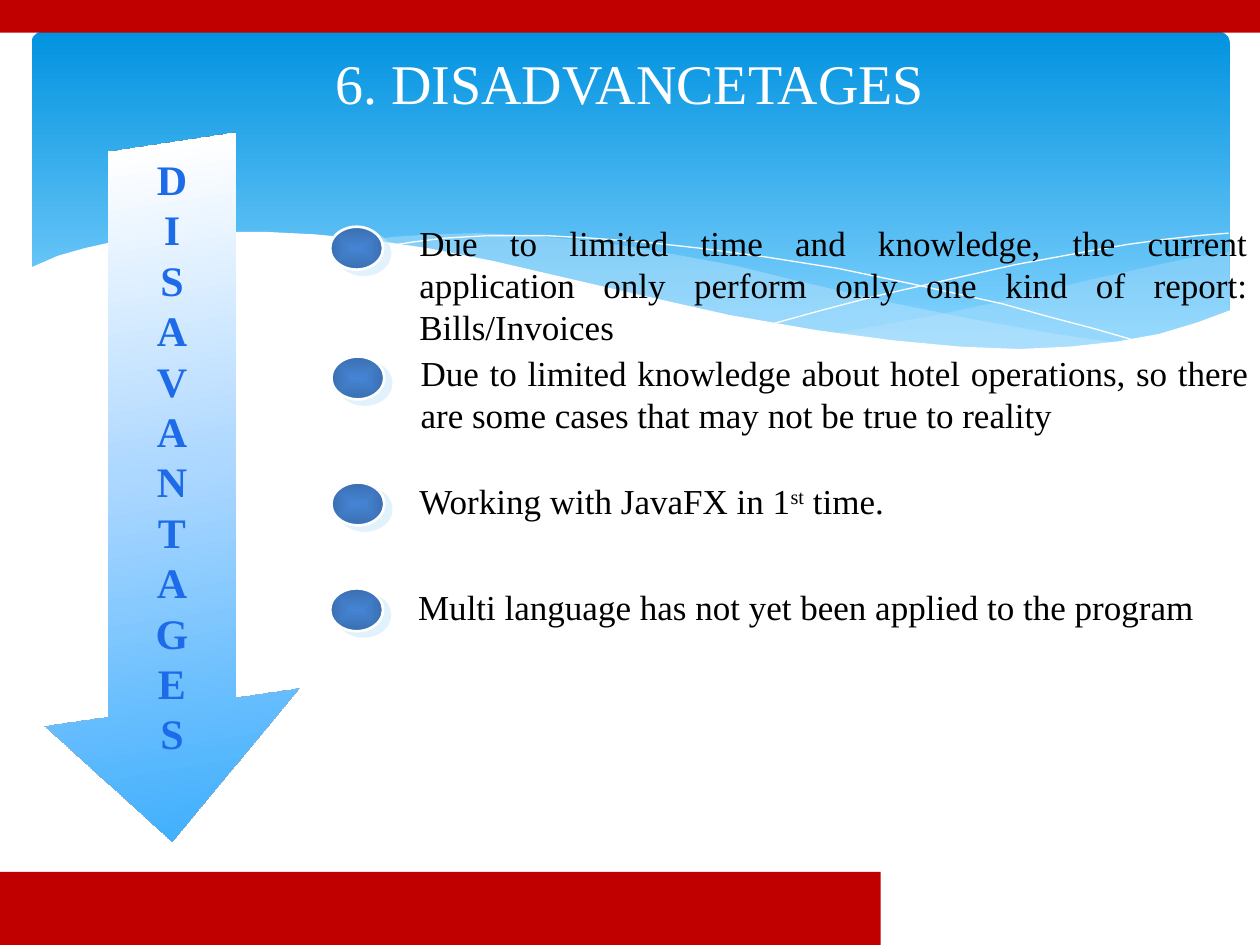
import lxml.etree
import pptx
import pptx.dml.color
import pptx.enum.shapes
import pptx.enum.text
import pptx.oxml
import pptx.oxml.ns
import pptx.util

COLORS = {
    "red": "C00000", "white": "FFFFFF", "black": "000000",
    "sky_top": "0293E0", "sky_low": "83D3FE", "mist": "C6E7FC",
    "arrow_mid": "ACD7FF", "arrow_low": "42B0FD", "arrow_edge": "31B6FD",
    "letter": "1D6BE8", "ball": "4584D3", "ball_rim": "3A6FB1",
}
RGB = {name: pptx.dml.color.RGBColor.from_string(code) for name, code in COLORS.items()}
SHAPE = pptx.enum.shapes.MSO_SHAPE
ALIGN = pptx.enum.text.PP_ALIGN
ANCHOR = pptx.enum.text.MSO_ANCHOR
NS = pptx.oxml.ns.nsdecls("a")

deck = pptx.Presentation()
deck.slide_width, deck.slide_height = pptx.util.Inches(10), pptx.util.Inches(7.5)
page = deck.slides.add_slide(deck.slide_layouts[6])
UNIT = deck.slide_width // 10  # one column of ten; rows are equally high


def add_block(kind, cells, fill=None, stops=(), direction='<a:lin ang="5400000" scaled="0"/>'):
    """Add a preset shape at (left, top, width, height) with a plain or gradient fill."""
    block = page.shapes.add_shape(kind, *[round(cell * UNIT) for cell in cells])
    block.shadow.inherit = False
    block.line.fill.background()
    if fill:
        block.fill.solid()
        block.fill.fore_color.rgb = RGB[fill]
    else:
        marks = "".join(f'<a:gs pos="{share * 1000}"><a:srgbClr val="{COLORS[name]}"/></a:gs>'
                        for share, name in stops)
        block._element.spPr.find(pptx.oxml.ns.qn("a:prstGeom")).addnext(pptx.oxml.parse_xml(
            f'<a:gradFill {NS} rotWithShape="1"><a:gsLst>{marks}</a:gsLst>{direction}</a:gradFill>'))
    return block


def write(para, pieces, size, color, align, **formats):
    """Fill a paragraph with (text, baseline) pieces."""
    para.alignment = align
    for text, baseline in pieces:
        span = para.add_run()
        span.text = text
        values = {"name": "Times New Roman", "size": pptx.util.Pt(size), **formats}
        for key, value in values.items():
            setattr(span.font, key, value)
        span.font.color.rgb = RGB[color]
        if baseline:
            span.font._element.set("baseline", str(baseline * 1000))


# Sky panel with its waves
sky = add_block(SHAPE.ROUNDED_RECTANGLE, (0.25, 0.25, 9.51, 2.7),
                stops=[(0, "sky_top"), (90, "sky_low")])
sky.adjustments[0] = 0.034

# Each wave: points, fill, opacity in percent (None for an open white line)
WAVES = [
    ([(9.76, 2), (9.48, 2.04), (9.06, 2.13), (8.61, 2.23), (8.05, 2.37), (7.53, 2.48),
      (7.06, 2.57), (6.61, 2.65), (6.91, 2.69), (7.32, 2.74), (7.69, 2.77), (8.14, 2.78),
      (8.54, 2.76), (8.89, 2.72), (9.21, 2.65), (9.49, 2.57), (9.76, 2.47)], "mist", 29),
    ([(8.93, 2.73), (8.37, 2.65), (7.75, 2.54), (7.06, 2.4), (6.29, 2.22), (5.84, 2.11),
      (5.41, 2.03), (5.02, 1.96), (4.65, 1.91), (4.2, 1.87), (3.8, 1.85), (3.44, 1.86),
      (3.13, 1.88), (2.86, 1.91), (3.23, 1.96), (3.62, 2.03), (4.04, 2.11), (4.49, 2.22),
      (5.3, 2.4), (6.01, 2.55), (6.5, 2.64), (6.95, 2.7), (7.36, 2.75), (7.73, 2.77),
      (8.07, 2.78), (8.48, 2.77), (8.76, 2.75)], "mist", 40),
    ([(3.09, 1.95), (3.28, 1.92), (3.53, 1.89), (3.87, 1.87), (4.33, 1.87), (4.69, 1.89),
      (5.1, 1.92), (5.56, 1.97), (6.08, 2.04), (6.65, 2.13), (7.27, 2.26), (7.95, 2.41),
      (8.31, 2.51), (8.69, 2.61), (9.07, 2.72)], None, None),
    ([(6.13, 2.57), (6.53, 2.46), (6.95, 2.35), (7.48, 2.23), (8.06, 2.1), (8.66, 1.99),
      (8.95, 1.94), (9.24, 1.9), (9.51, 1.87), (9.75, 1.85)], None, None),
    ([(9.77, 2.46), (9.5, 2.56), (9.2, 2.65), (8.87, 2.71), (8.5, 2.75), (8.09, 2.77),
      (7.61, 2.75), (7.08, 2.7), (6.48, 2.62), (5.79, 2.5), (5.03, 2.33), (4.47, 2.2),
      (3.91, 2.07), (3.4, 1.97), (2.92, 1.9), (2.5, 1.86), (2.11, 1.84), (1.61, 1.84),
      (1.32, 1.86), (1.06, 1.89), (0.85, 1.93), (0.67, 1.97), (0.46, 2.03), (0.23, 2.13),
      (0.23, 3.29), (9.77, 3.29)], "white", 100),
]
for points, fill, opacity in WAVES:
    # The builder keeps whole numbers only, so points go in as slide units
    corners = [(round(x * UNIT), round(y * UNIT)) for x, y in points]
    outline = page.shapes.build_freeform(*corners[0])
    outline.add_line_segments(corners[1:], close=fill is not None)
    wave = outline.convert_to_shape()
    wave.shadow.inherit = False
    if fill:
        wave.line.fill.background()
        wave.fill.solid()
        wave.fill.fore_color.rgb = RGB[fill]
        tint = wave._element.spPr.find(".//" + pptx.oxml.ns.qn("a:srgbClr"))
        lxml.etree.SubElement(tint, pptx.oxml.ns.qn("a:alpha"), val=str(opacity * 1000))
    else:
        wave.fill.background()
        wave.line.color.rgb = RGB["white"]
        wave.line.width = 0

# Red bands
add_block(SHAPE.RECTANGLE, (0, 6.92, 6.99, 0.58), "red")
add_block(SHAPE.RECTANGLE, (0, 0, 10, 0.26), "red")

# Tilted arrow with one letter per line
arrow = add_block(SHAPE.DOWN_ARROW, (0.24, 0.98, 2.25, 5.84),
                  stops=[(0, "white"), (44, "arrow_mid"), (100, "arrow_low")])
arrow.line.color.rgb = RGB["arrow_edge"]
arrow.line.width = pptx.util.Pt(0.75)
arrow._element.spPr.append(pptx.oxml.parse_xml(
    f'<a:scene3d {NS}><a:camera prst="isometricOffAxis1Right"/>'
    '<a:lightRig rig="threePt" dir="t"/></a:scene3d>'))
arrow.text_frame.vertical_anchor = ANCHOR.MIDDLE
for index, letter in enumerate("DISAVANTAGES"):
    para = arrow.text_frame.add_paragraph() if index else arrow.text_frame.paragraphs[0]
    write(para, [(letter, 0)], 24, "letter", ALIGN.CENTER, bold=True)

# Title and bulleted points: (left, top, width, height), pieces, size, colour, alignment
title = ((0, 0.32, 10, 0.67), [("6. DISADVANCETAGES", 0)], 32, "white", ALIGN.CENTER)
POINTS = [
    (2.62, 1.8, 3.23, 1.71, 0.77, [("Due to limited time and knowledge, the current application "
                                    "only perform only one kind of report: Bills/Invoices", 0)]),
    (2.63, 2.83, 3.24, 2.74, 0.77, [("Due to limited knowledge about hotel operations, so there "
                                     "are some cases that may not be true to reality", 0)]),
    (2.63, 3.83, 3.23, 3.76, 0.44, [("Working with JavaFX in 1", 0), ("st", 30), (" time.", 0)]),
    (2.62, 4.67, 3.22, 4.6, 0.44, [("Multi language has not yet been applied to the program", 0)]),
]
texts = [title]
for ball_left, ball_top, left, top, height, pieces in POINTS:
    ball = add_block(SHAPE.OVAL, (ball_left, ball_top, 0.42, 0.34),
                     stops=[(0, "ball"), (100, "ball_rim")],
                     direction='<a:path path="shape"><a:fillToRect l="50000" t="50000" '
                               'r="50000" b="50000"/></a:path>')
    ball.line.color.rgb = RGB["white"]
    ball.line.width = pptx.util.Pt(1.5)
    ball._element.spPr.find(pptx.oxml.ns.qn("a:effectLst")).append(pptx.oxml.parse_xml(
        f'<a:outerShdw {NS} dist="63500" dir="2220000"><a:srgbClr val="{COLORS["mist"]}">'
        '<a:alpha val="50000"/></a:srgbClr></a:outerShdw>'))
    texts.append(((left, top, 6.77, height), pieces, 20, "black", ALIGN.JUSTIFY))

for cells, pieces, size, color, align in texts:
    box = page.shapes.add_textbox(*[round(cell * UNIT) for cell in cells])
    box.text_frame.word_wrap = True
    box.text_frame.vertical_anchor = ANCHOR.MIDDLE if size == 32 else ANCHOR.TOP
    write(box.text_frame.paragraphs[0], pieces, size, color, align)

deck.save("out.pptx")
